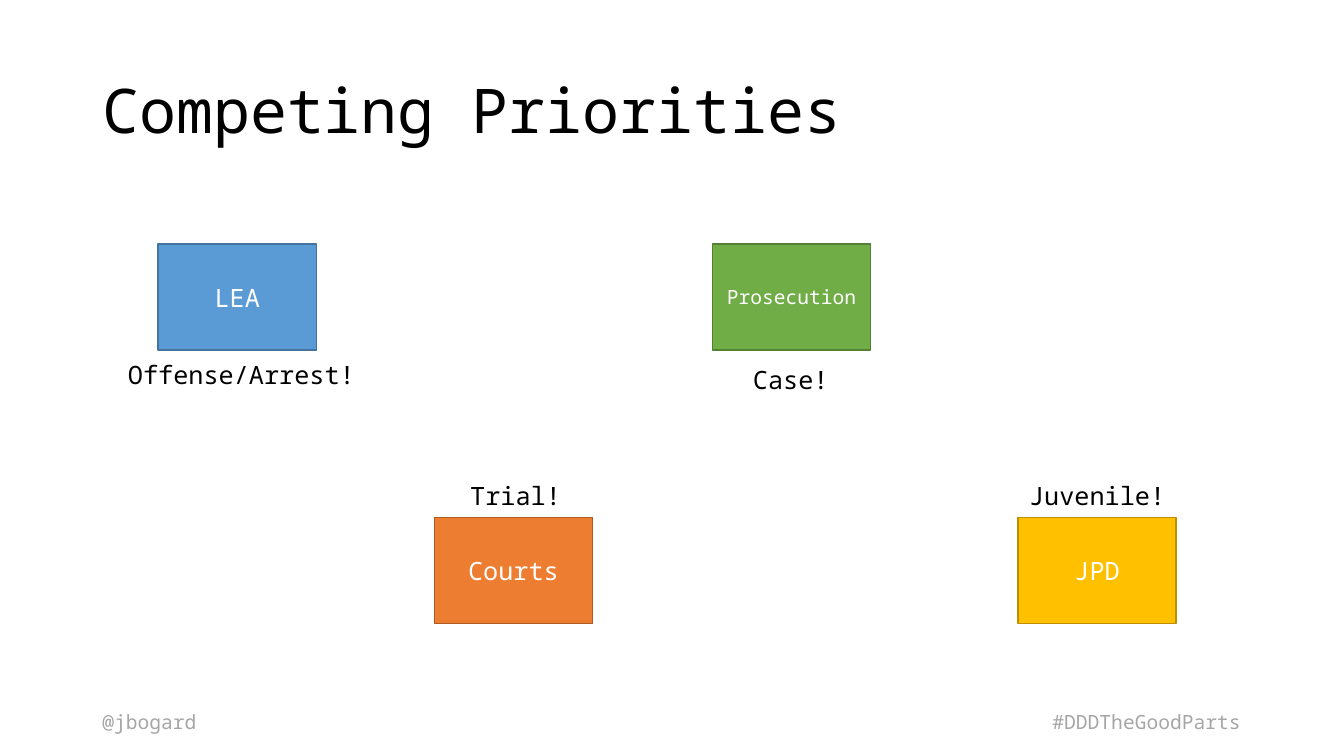
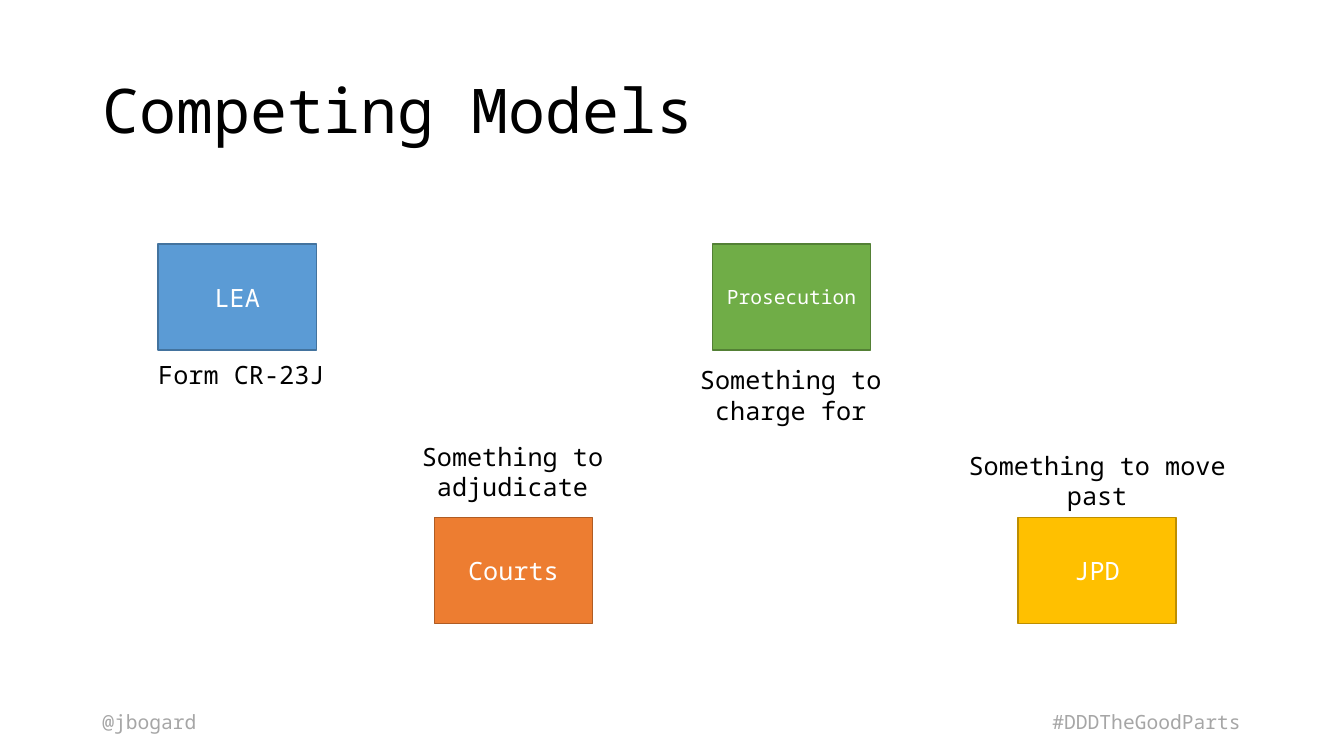
from pptx import Presentation
from pptx.dml.color import RGBColor
from pptx.enum.shapes import MSO_SHAPE
from pptx.enum.text import MSO_ANCHOR, MSO_AUTO_SIZE, PP_ALIGN
from pptx.util import Pt

FONT = "Noto Sans Mono"
INK, GREY, WHITE = "000000", "A6A6A6", "FFFFFF"
LEFT, MID, RIGHT = PP_ALIGN.LEFT, PP_ALIGN.CENTER, PP_ALIGN.RIGHT
TOP, CENTER = MSO_ANCHOR.TOP, MSO_ANCHOR.MIDDLE
GROW, FIXED = MSO_AUTO_SIZE.SHAPE_TO_FIT_TEXT, MSO_AUTO_SIZE.NONE
BOX_W, BOX_H = 113, 75.8
NOTE_W = 206.6
HIGH, LOW = 174.3, 369.5

# Boxes: name, left, top, fill, line, text size
boxes = [
    ("LEA", 113, HIGH, "5B9BD5", "43739E", 18),
    ("Courts", 310.3, LOW, "ED7D31", "AF5C24", 18),
    ("JPD", 727.2, LOW, "FFC000", "BD8E00", 18),
    ("Prosecution", 509, HIGH, "70AD47", "538035", 14),
]

# Footers: text, left, top, width, alignment
feet = [
    ("@jbogard", 66, 503.5, 105, LEFT),
    ("#DDDTheGoodParts", 674, 503.8, 219.6, RIGHT),
]

# Slides: title and notes (text, left, top, height)
pages = [
    ("Competing Priorities", [
        ("Offense/Arrest!", 69.1, 253.4, 29),
        ("Trial!", 265, 339.8, 29),
        ("Case!", 461.5, 257, 29),
        ("Juvenile!", 680.4, 339.8, 29),
    ]),
    ("Competing Models", [
        ("Form CR-23J", 69.1, 253.4, 29),
        ("Something to adjudicate", 262.8, 311.8, 51),
        ("Something to charge for", 461.5, 257, 51),
        ("Something to move past", 680.4, 318.2, 51),
    ]),
]


def color(code):
    return RGBColor.from_string(code)


def write(shape, text, size, ink, align, anchor=TOP, fit=FIXED, lead=1.0):
    frame = shape.text_frame
    frame.text = text
    para = frame.paragraphs[0]
    font = para.runs[0].font
    font.color.rgb = color(ink)
    formats = [
        (frame, {"word_wrap": True, "auto_size": fit, "vertical_anchor": anchor}),
        (para, {"alignment": align, "line_spacing": lead}),
        (font, {"name": FONT, "size": Pt(size)}),
    ]
    for item, values in formats:
        for key, value in values.items():
            setattr(item, key, value)


deck = Presentation()
deck.slide_width, deck.slide_height = Pt(960), Pt(540)

for title, notes in pages:
    shapes = deck.slides.add_slide(deck.slide_layouts[6]).shapes

    # Footers
    for text, x, y, w, align in feet:
        foot = shapes.add_textbox(Pt(x), Pt(y), Pt(w), Pt(24.5))
        write(foot, text, 14, GREY, align, fit=GROW)

    # Title
    head = shapes.add_textbox(Pt(66), Pt(28.8), Pt(828), Pt(104.4))
    write(head, title, 44, INK, LEFT, CENTER, lead=0.9)

    # Boxes
    for name, x, y, fill, line, size in boxes:
        box = shapes.add_shape(MSO_SHAPE.RECTANGLE, Pt(x), Pt(y), Pt(BOX_W), Pt(BOX_H))
        box.shadow.inherit = False
        box.fill.solid()
        box.fill.fore_color.rgb = color(fill)
        box.line.color.rgb = color(line)
        box.line.width = Pt(1)
        write(box, name, size, WHITE, MID, CENTER)

    # Notes
    for text, x, y, h in notes:
        note = shapes.add_textbox(Pt(x), Pt(y), Pt(NOTE_W), Pt(h))
        write(note, text, 18, INK, MID, fit=GROW)

deck.save("out.pptx")
